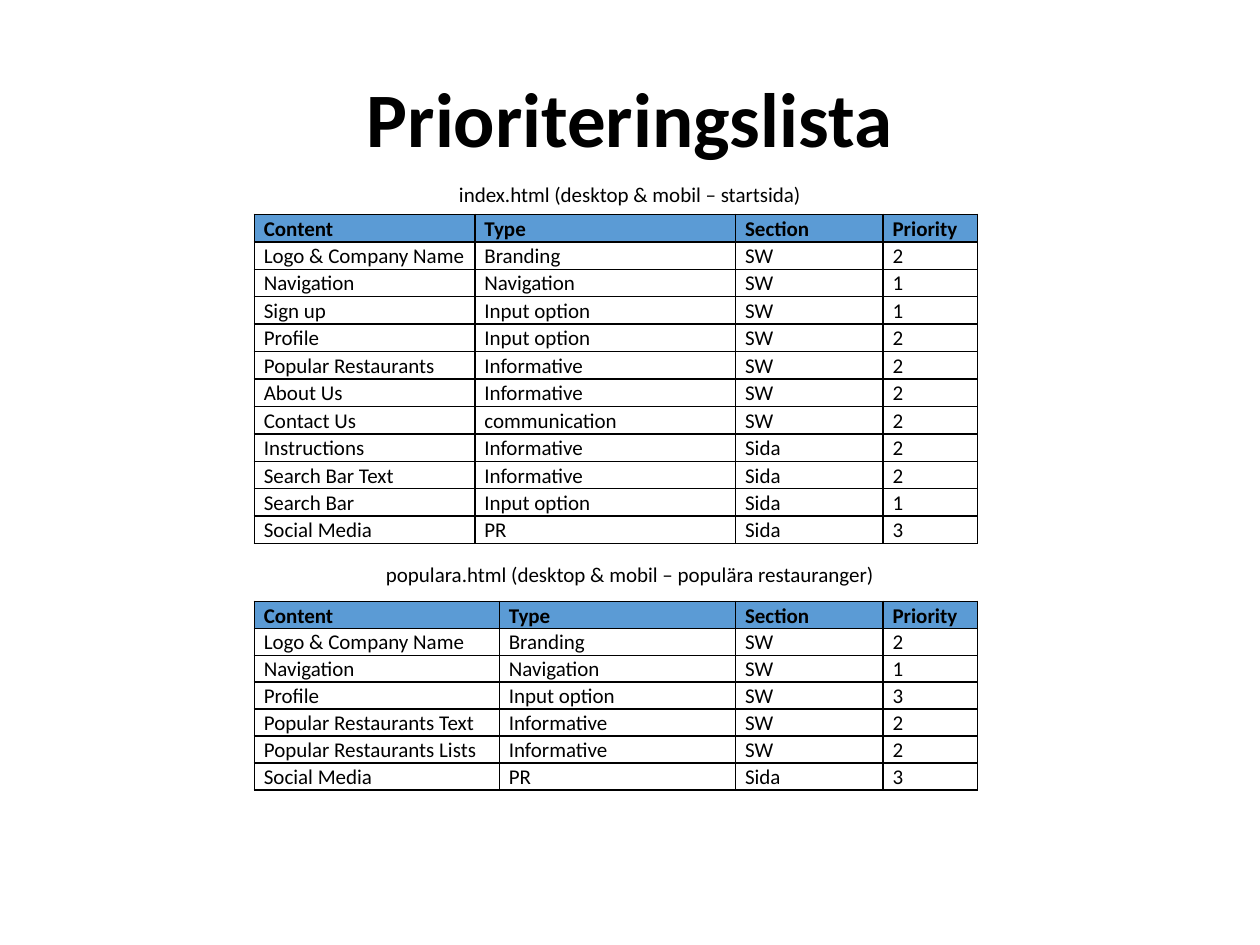
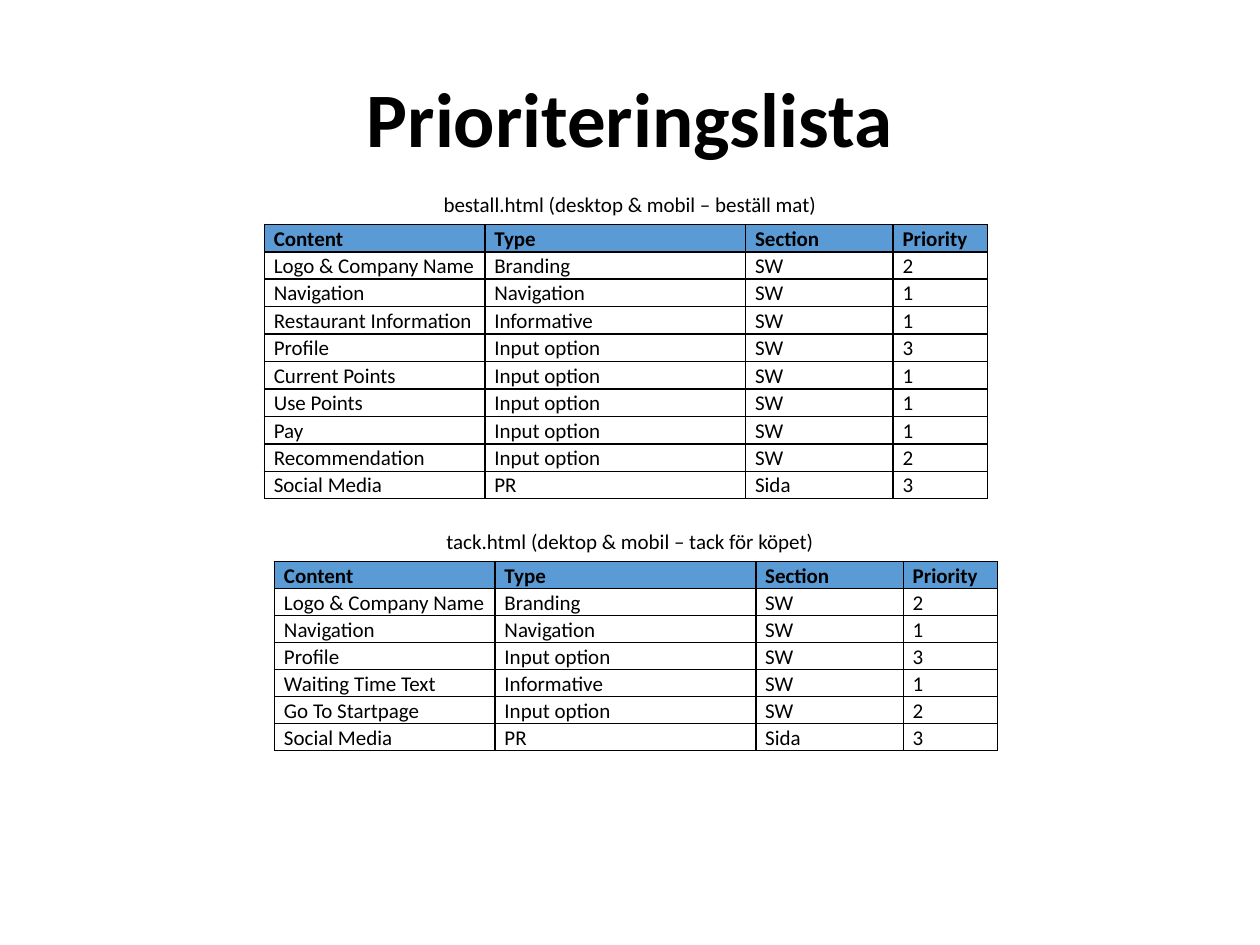
from lxml.etree import SubElement
from pptx import Presentation
from pptx.dml.color import RGBColor
from pptx.enum.text import MSO_ANCHOR, PP_ALIGN
from pptx.oxml.ns import qn
from pptx.util import Pt

COLORS = {"text": "000000", "border": "000000", "header": "5B9BD5"}
FONT = "Calibri"
SLIDE_WIDTH, SLIDE_HEIGHT = 720, 540
TITLE = "Prioriteringslista"
TITLE_BOX = (36, 21.6, 648, 90)
CAPTION_HEIGHT = 21.6
HEADINGS = ("Content", "Type", "Section", "Priority")
COLUMNS = (126, 149, 84.3, 53.9)
WIDE_CONTENT_COLUMNS = (140, 135, 84.3, 53.9)

BRANDING = ("Logo & Company Name", "Branding", "SW", "2")
NAVIGATION = ("Navigation", "Navigation", "SW", "1")
PROFILE = ("Profile", "Input option", "SW", "3")
SOCIAL_MEDIA = ("Social Media", "PR", "Sida", "3")

START_PAGE = {
    "caption": "index.html (desktop & mobil – startsida)",
    "box": (145.4, 122.5), "row_height": 15.67, "caption_rise": 22.4,
    "columns": COLUMNS,
    "rows": [
        BRANDING,
        NAVIGATION,
        ("Sign up", "Input option", "SW", "1"),
        ("Profile", "Input option", "SW", "2"),
        ("Popular Restaurants", "Informative", "SW", "2"),
        ("About Us", "Informative", "SW", "2"),
        ("Contact Us", "communication", "SW", "2"),
        ("Instructions", "Informative", "Sida", "2"),
        ("Search Bar Text", "Informative", "Sida", "2"),
        ("Search Bar", "Input option", "Sida", "1"),
        SOCIAL_MEDIA,
    ],
}
POPULAR_PAGE = {
    "caption": "populara.html (desktop & mobil – populära restauranger)",
    "box": (145.4, 343.6), "row_height": 15.43, "caption_rise": 26.4,
    "columns": WIDE_CONTENT_COLUMNS,
    "rows": [
        BRANDING,
        NAVIGATION,
        PROFILE,
        ("Popular Restaurants Text", "Informative", "SW", "2"),
        ("Popular Restaurants Lists", "Informative", "SW", "2"),
        SOCIAL_MEDIA,
    ],
}
ORDER_PAGE = {
    "caption": "bestall.html (desktop & mobil – beställ mat)",
    "box": (151.1, 128.2), "row_height": 15.67, "caption_rise": 22.4,
    "columns": COLUMNS,
    "rows": [
        BRANDING,
        NAVIGATION,
        ("Restaurant Information", "Informative", "SW", "1"),
        PROFILE,
        ("Current Points", "Input option", "SW", "1"),
        ("Use Points", "Input option", "SW", "1"),
        ("Pay", "Input option", "SW", "1"),
        ("Recommendation", "Input option", "SW", "2"),
        SOCIAL_MEDIA,
    ],
}
THANKS_PAGE = {
    "caption": "tack.html (dektop & mobil – tack för köpet)",
    "box": (156.9, 321), "row_height": 15.43, "caption_rise": 22.4,
    "columns": COLUMNS,
    "rows": [
        BRANDING,
        NAVIGATION,
        PROFILE,
        ("Waiting Time Text", "Informative", "SW", "1"),
        ("Go To Startpage", "Input option", "SW", "2"),
        SOCIAL_MEDIA,
    ],
}
SLIDES = [(START_PAGE, POPULAR_PAGE), (ORDER_PAGE, THANKS_PAGE)]


def rgb(role):
    return RGBColor.from_string(COLORS[role])


def write(frame, text, size, bold=False, align=PP_ALIGN.LEFT):
    frame.text = text
    paragraph = frame.paragraphs[0]
    paragraph.alignment = align
    font = paragraph.runs[0].font
    font.name, font.size, font.bold = FONT, Pt(size), bold
    font.color.rgb = rgb("text")
    return paragraph


def add_title(slide, box):
    title = slide.shapes.title
    title.left, title.top, title.width, title.height = map(Pt, box)
    title.text_frame.vertical_anchor = MSO_ANCHOR.MIDDLE
    write(title.text_frame, TITLE, 44, True, PP_ALIGN.CENTER)


def add_borders(cell):
    properties = cell._tc.get_or_add_tcPr()
    for position, side in enumerate(("a:lnL", "a:lnR", "a:lnT", "a:lnB")):
        border = SubElement(properties, qn(side), w=str(Pt(1)))
        fill = SubElement(border, qn("a:solidFill"))
        SubElement(fill, qn("a:srgbClr"), val=COLORS["border"])
        properties.insert(position, border)


def format_cell(cell, text, is_heading):
    cell.margin_left = cell.margin_right = Pt(5.4)
    cell.margin_top = cell.margin_bottom = 0
    write(cell.text_frame, text, 12, is_heading).line_spacing = 1.07
    if is_heading:
        cell.fill.solid()
        cell.fill.fore_color.rgb = rgb("header")
    else:
        cell.fill.background()
    add_borders(cell)


def add_priority_table(slide, page):
    left, top = page["box"]
    rows = [HEADINGS] + page["rows"]
    table = slide.shapes.add_table(
        len(rows), len(HEADINGS), Pt(left), Pt(top),
        Pt(sum(page["columns"])), Pt(page["row_height"] * len(rows))).table
    table.first_row = table.horz_banding = False
    for column, width in zip(table.columns, page["columns"]):
        column.width = Pt(width)
    for index, (row, values) in enumerate(zip(table.rows, rows)):
        row.height = Pt(page["row_height"])
        for cell, value in zip(row.cells, values):
            format_cell(cell, value, index == 0)


def add_caption(slide, page):
    top = page["box"][1] - page["caption_rise"]
    caption = slide.shapes.add_textbox(0, Pt(top), Pt(SLIDE_WIDTH), Pt(CAPTION_HEIGHT))
    caption.text_frame.word_wrap = True
    caption.text_frame.vertical_anchor = MSO_ANCHOR.MIDDLE
    write(caption.text_frame, page["caption"], 12, align=PP_ALIGN.CENTER)


def add_priority_slide(presentation, pages):
    slide = presentation.slides.add_slide(presentation.slide_layouts[5])
    add_title(slide, TITLE_BOX)
    for page in pages:
        add_priority_table(slide, page)
        add_caption(slide, page)


def main():
    presentation = Presentation()
    presentation.slide_width = Pt(SLIDE_WIDTH)
    presentation.slide_height = Pt(SLIDE_HEIGHT)
    for pages in SLIDES:
        add_priority_slide(presentation, pages)
    presentation.save("out.pptx")


if __name__ == "__main__":
    main()
